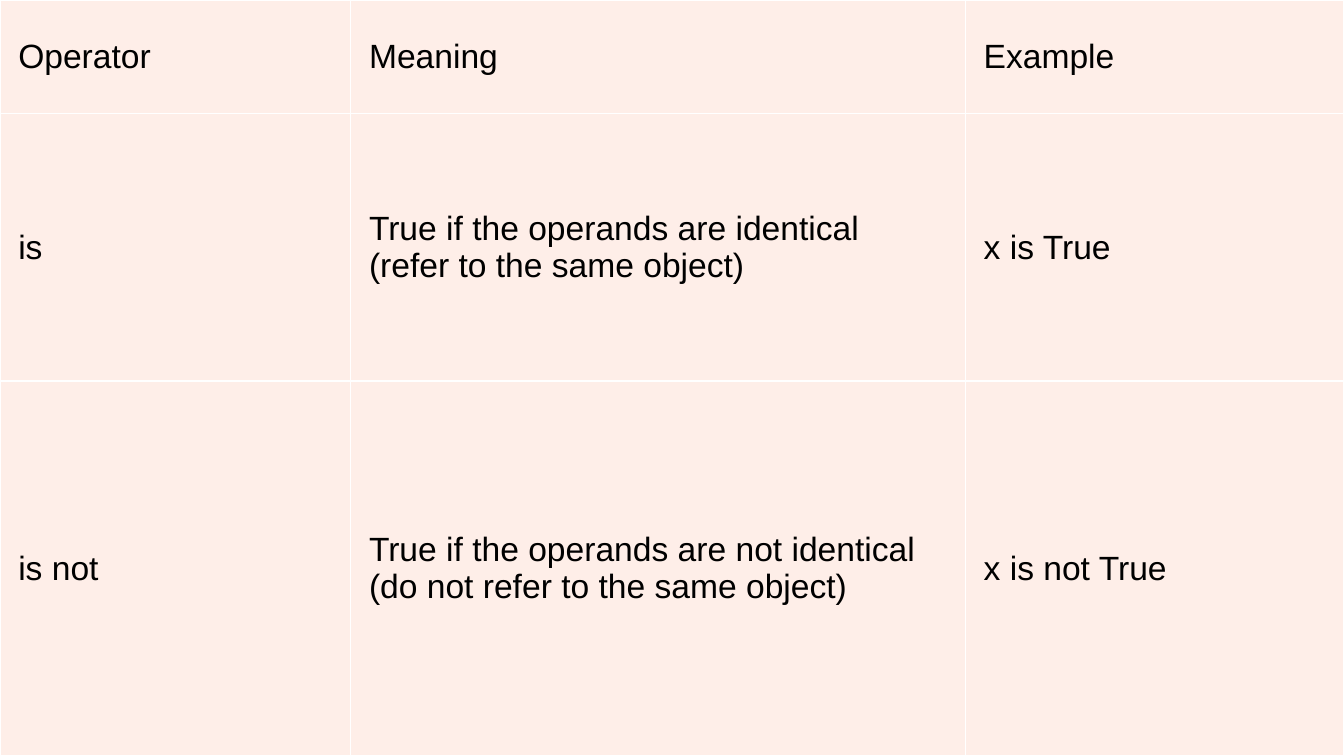
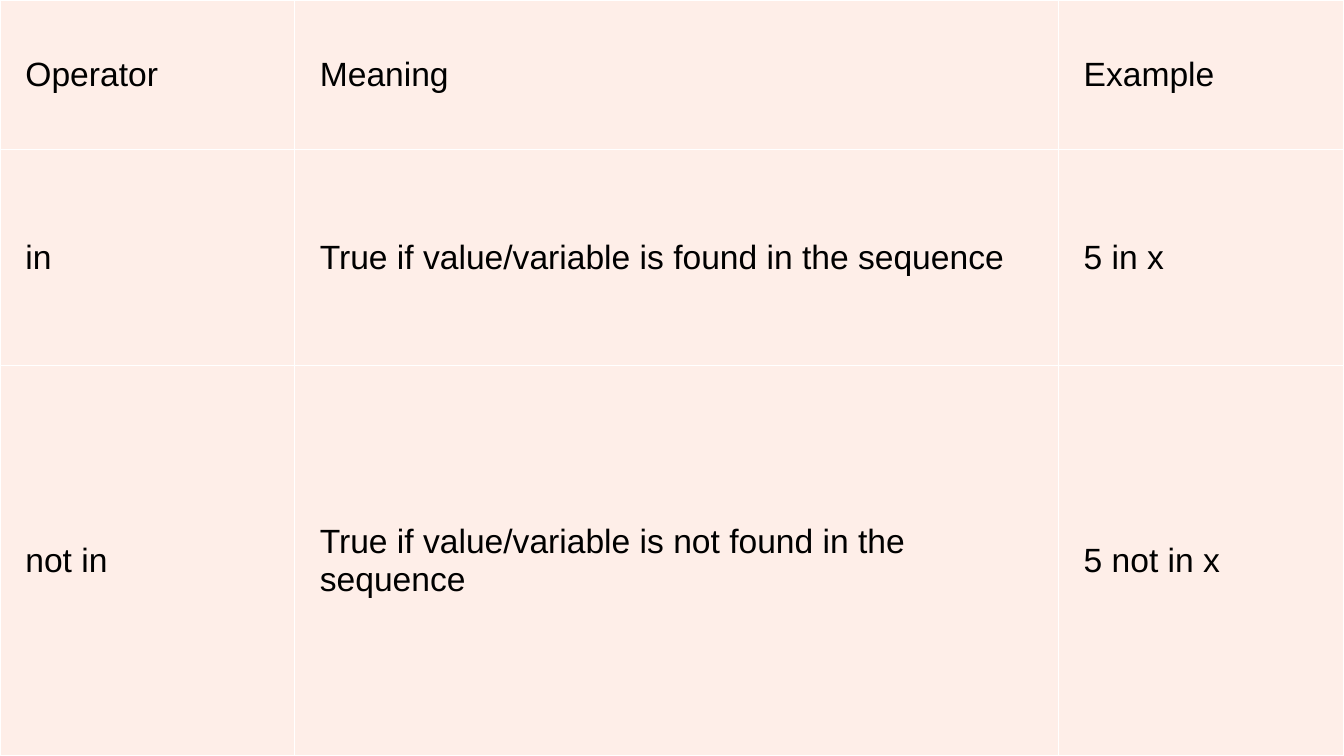
from dataclasses import dataclass

from lxml import etree
from pptx import Presentation
from pptx.dml.color import RGBColor
from pptx.enum.text import MSO_ANCHOR
from pptx.oxml.ns import qn
from pptx.presentation import Presentation as Deck
from pptx.slide import SlideMaster
from pptx.table import _Cell
from pptx.util import Cm, Pt

# Shared style
SLIDE_WIDTH, SLIDE_HEIGHT = Cm(33.87), Cm(19.05)
TEAL = RGBColor(0x04, 0x73, 0x85)
BLACK = RGBColor(0x00, 0x00, 0x00)
WHITE = RGBColor(0xFF, 0xFF, 0xFF)
BLUSH = RGBColor(0xFE, 0xEE, 0xE8)
FONT_NAME, FONT_SIZE = "Arial", Pt(24)
BORDER_WIDTH = Pt(1)
BORDER_TAGS = ("a:lnL", "a:lnR", "a:lnT", "a:lnB")
MIDDLE = MSO_ANCHOR.MIDDLE
BLANK_LAYOUT = 6
HEADINGS = ("Operator", "Meaning", "Example")


@dataclass(frozen=True)
class OperatorTable:
    """Operators with their meanings; lengths are in centimetres."""
    column_widths: tuple[float, ...]
    row_heights: tuple[float, ...]
    side_margin: float
    end_margin: float
    operators: tuple[tuple[str, str, str], ...]


IDENTITY = OperatorTable(
    column_widths=(8.84, 15.49, 9.54),
    row_heights=(2.87, 6.73, 9.45),
    side_margin=0.46,
    end_margin=0.23,
    operators=(
        ("is", "True if the operands are identical (refer to the same object)",
         "x is True"),
        ("is not", "True if the operands are not identical "
                   "(do not refer to the same object)", "x is not True"),
    ),
)
MEMBERSHIP = OperatorTable(
    column_widths=(7.42, 19.25, 7.2),
    row_heights=(3.76, 5.46, 9.83),
    side_margin=0.64,
    end_margin=0.3,
    operators=(
        ("in", "True if value/variable is found in the sequence", "5 in x"),
        ("not in", "True if value/variable is not found in the sequence",
         "5 not in x"),
    ),
)


# Background shared by all slides
def set_background(master: SlideMaster) -> None:
    fill = master.background.fill
    fill.gradient()
    for stop, color in zip(fill.gradient_stops, (TEAL, BLACK)):
        stop.color.rgb = color
    gradient = next(master.element.iter(qn("a:gradFill")))
    gradient.remove(gradient.find(qn("a:lin")))
    circle = etree.SubElement(gradient, qn("a:path"), {"path": "circle"})
    etree.SubElement(circle, qn("a:fillToRect"),
                     {"l": "43000", "t": "0", "r": "43000", "b": "100000"})


# Table cells
def add_borders(cell: _Cell) -> None:
    properties = cell._tc.get_or_add_tcPr()
    for tag in BORDER_TAGS:
        line = etree.SubElement(properties, qn(tag), {"w": str(BORDER_WIDTH)})
        solid = etree.SubElement(line, qn("a:solidFill"))
        etree.SubElement(solid, qn("a:srgbClr"), {"val": str(WHITE)})


def fill_cell(cell: _Cell, text: str, content: OperatorTable) -> None:
    add_borders(cell)
    cell.fill.solid()
    cell.fill.fore_color.rgb = BLUSH
    cell.vertical_anchor = MIDDLE
    cell.margin_left = cell.margin_right = Cm(content.side_margin)
    cell.margin_top = cell.margin_bottom = Cm(content.end_margin)
    cell.text_frame.text = text
    font = cell.text_frame.paragraphs[0].runs[0].font
    font.name, font.size = FONT_NAME, FONT_SIZE
    font.color.rgb = BLACK


# One slide filled by its table
def add_table_slide(presentation: Deck, content: OperatorTable) -> None:
    slide = presentation.slides.add_slide(
        presentation.slide_layouts[BLANK_LAYOUT])
    rows = (HEADINGS, *content.operators)
    table = slide.shapes.add_table(len(rows), len(HEADINGS), 0, 0,
                                   SLIDE_WIDTH, SLIDE_HEIGHT).table
    table.first_row = table.horz_banding = False
    for column, width in zip(table.columns, content.column_widths):
        column.width = Cm(width)
    for row, height, texts in zip(table.rows, content.row_heights, rows):
        row.height = Cm(height)
        for cell, text in zip(row.cells, texts):
            fill_cell(cell, text, content)


def main() -> None:
    presentation = Presentation()
    presentation.slide_width = SLIDE_WIDTH
    presentation.slide_height = SLIDE_HEIGHT
    set_background(presentation.slide_master)
    for content in (IDENTITY, MEMBERSHIP):
        add_table_slide(presentation, content)
    presentation.save("out.pptx")


main()
